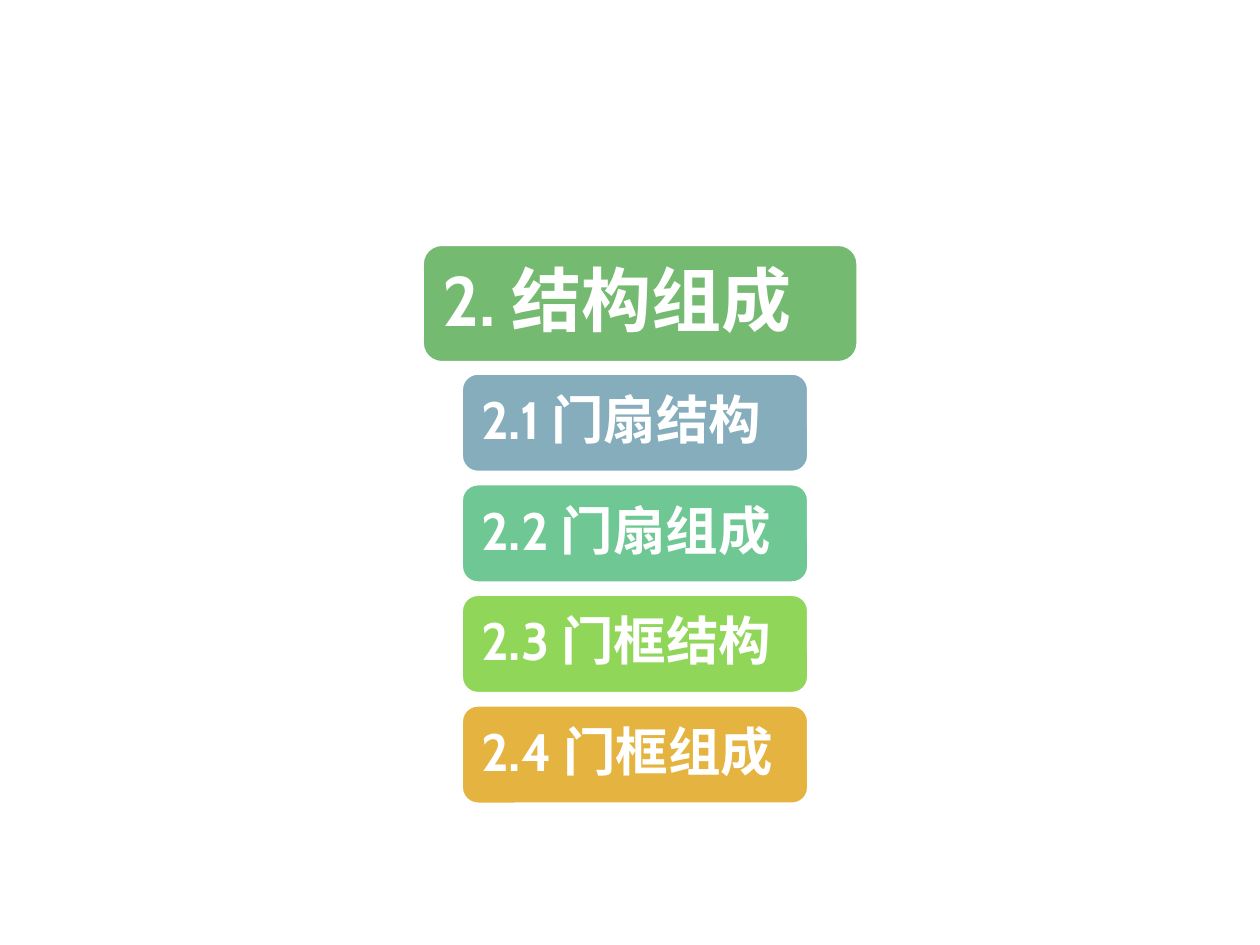
from dataclasses import dataclass

from pptx import Presentation
from pptx.dml.color import RGBColor
from pptx.enum.shapes import MSO_SHAPE
from pptx.enum.text import MSO_ANCHOR, PP_ALIGN
from pptx.util import Pt


@dataclass(frozen=True)
class Theme:
    font: str = "Cabin"
    white: str = "FFFFFF"
    heading: str = "75BA71"
    sections: tuple = ("85ADBC", "6FC894", "90D658", "E5B440")
    heading_size: float = 40
    section_size: float = 30
    outline: float = 2
    inset: float = 8.64


class SlideBuilder:
    def __init__(self, slide, theme):
        self.slide = slide
        self.theme = theme

    def label(self, text, left, top, width, height, color, size):
        """Add a rounded bar with left-aligned bold text."""
        theme = self.theme
        shape = self.slide.shapes.add_shape(
            MSO_SHAPE.ROUNDED_RECTANGLE, Pt(left), Pt(top), Pt(width), Pt(height))
        shape.shadow.inherit = False
        shape.fill.solid()
        shape.fill.fore_color.rgb = RGBColor.from_string(color)
        shape.line.color.rgb = RGBColor.from_string(theme.white)
        shape.line.width = Pt(theme.outline)

        frame = shape.text_frame
        frame.word_wrap = True
        frame.vertical_anchor = MSO_ANCHOR.MIDDLE
        frame.margin_left = frame.margin_right = Pt(theme.inset)
        frame.margin_top = frame.margin_bottom = Pt(theme.inset)

        paragraph = frame.paragraphs[0]
        paragraph.text = text
        paragraph.alignment = PP_ALIGN.LEFT
        paragraph.line_spacing = 0.9
        paragraph.space_after = Pt(0.35 * size)
        paragraph.font.name = theme.font
        paragraph.font.size = Pt(size)
        paragraph.font.bold = True
        paragraph.font.color.rgb = RGBColor.from_string(theme.white)


def main():
    presentation = Presentation()
    presentation.slide_width, presentation.slide_height = Pt(720), Pt(540)
    theme = Theme()
    slide = presentation.slides.add_slide(presentation.slide_layouts[6])
    builder = SlideBuilder(slide, theme)

    # Chapter heading
    builder.label("2. 结构组成", 241.2, 139.6, 249.2, 67.7,
                  theme.heading, theme.heading_size)

    # Sections, evenly stacked below the heading
    sections = ("2.1 门扇结构", "2.2 门扇组成", "2.3 门框结构", "2.4 门框组成")
    first_top, pitch = 213.2, 63.2
    for index, (text, color) in enumerate(zip(sections, theme.sections)):
        builder.label(text, 263.6, first_top + index * pitch, 198.6, 56.8,
                      color, theme.section_size)

    presentation.save("out.pptx")


if __name__ == "__main__":
    main()
